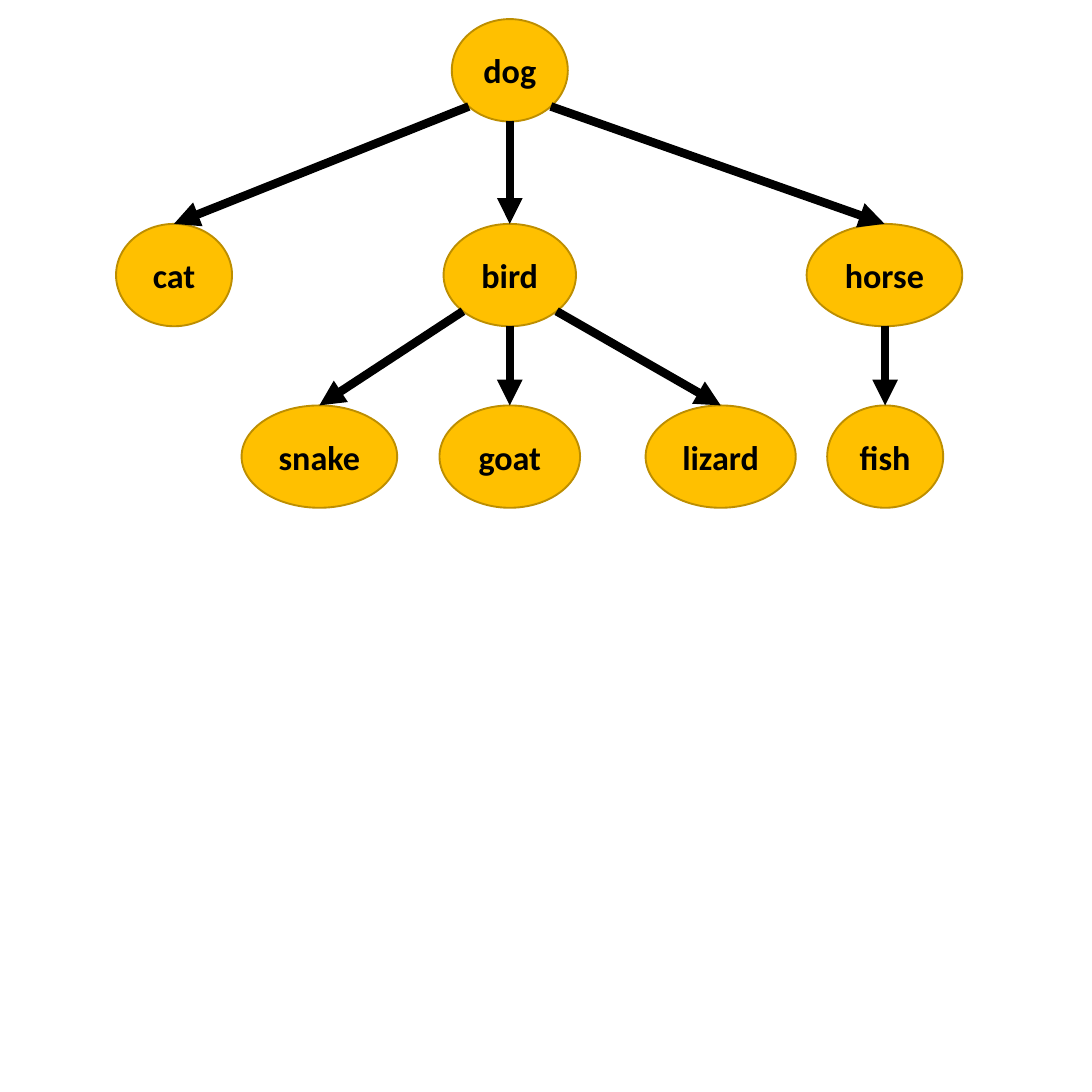
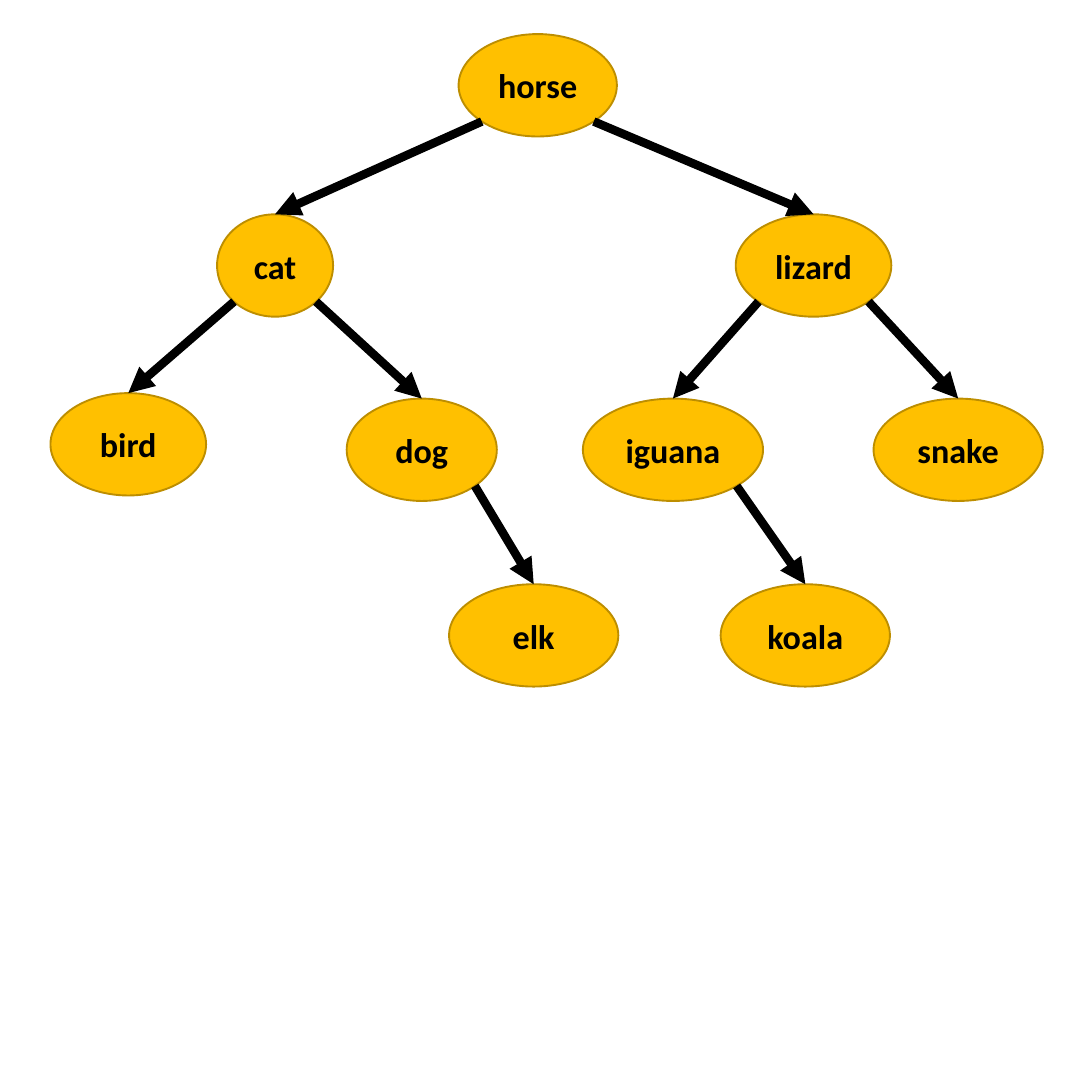
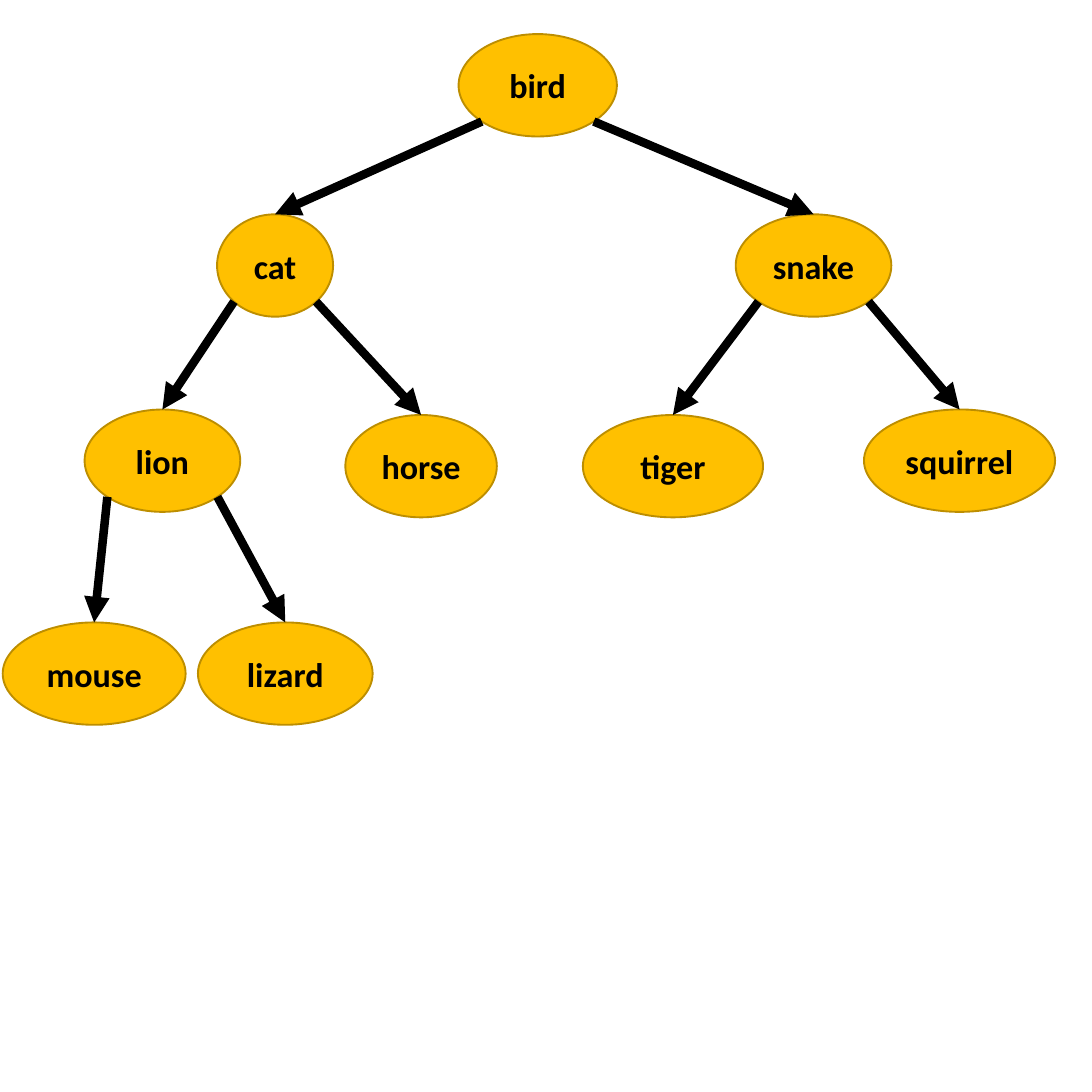
from math import sqrt

from pptx import Presentation
from pptx import util as u
from pptx.dml.color import RGBColor
from pptx.enum import shapes, text
from pptx.oxml.ns import qn
from lxml import etree

# Each tree: (word, parent, left, top, width) in inches
TREES = [
    [
        ("dog", None, 3.31, 0.14, 0.85),
        ("cat", "dog", 0.85, 1.64, 0.85),
        ("bird", "dog", 3.25, 1.64, 0.97),
        ("horse", "dog", 5.91, 1.64, 1.14),
        ("snake", "bird", 1.77, 2.97, 1.14),
        ("goat", "bird", 3.22, 2.97, 1.03),
        ("lizard", "bird", 4.73, 2.97, 1.1),
        ("fish", "horse", 6.06, 2.97, 0.85),
    ],
    [
        ("horse", None, 3.36, 0.25, 1.16),
        ("cat", "horse", 1.59, 1.57, 0.85),
        ("lizard", "horse", 5.39, 1.57, 1.14),
        ("bird", "cat", 0.37, 2.88, 1.14),
        ("dog", "cat", 2.54, 2.92, 1.1),
        ("iguana", "lizard", 4.27, 2.92, 1.32),
        ("snake", "lizard", 6.4, 2.92, 1.24),
        ("elk", "dog", 3.29, 4.28, 1.24),
        ("koala", "iguana", 5.28, 4.28, 1.24),
    ],
    [
        ("bird", None, 3.36, 0.25, 1.16),
        ("cat", "bird", 1.59, 1.57, 0.85),
        ("snake", "bird", 5.39, 1.57, 1.14),
        ("lion", "cat", 0.62, 3, 1.14),
        ("horse", "cat", 2.53, 3.04, 1.11),
        ("tiger", "snake", 4.27, 3.04, 1.32),
        ("squirrel", "snake", 6.33, 3, 1.4),
        ("mouse", "lion", 0.02, 4.56, 1.34),
        ("lizard", "lion", 1.45, 4.56, 1.28),
    ],
]


def rgb(color):
    return RGBColor.from_string(color)


class TreeDeck:
    FONT, SIZE = "Calibri", 18
    FILL, OUTLINE, INK = "FFC000", "BD8E00", "000000"
    NODE_HEIGHT = 0.75

    def __init__(self):
        self.prs = Presentation()
        self.prs.slide_width = self.prs.slide_height = u.Inches(8)
        self.s = None

    def node(self, word, left, top, width):
        sp = self.s.shapes.add_shape(
            shapes.MSO_SHAPE.OVAL, u.Inches(left), u.Inches(top),
            u.Inches(width), u.Inches(self.NODE_HEIGHT))
        sp.shadow.inherit = False
        sp.fill.solid()
        sp.fill.fore_color.rgb = rgb(self.FILL)
        sp.line.color.rgb = rgb(self.OUTLINE)
        sp.line.width = u.Pt(1)

        tf = sp.text_frame
        tf.text = word
        tf.word_wrap = False
        tf.vertical_anchor = text.MSO_ANCHOR.MIDDLE
        p = tf.paragraphs[0]
        p.alignment = text.PP_ALIGN.CENTER
        font = p.runs[0].font
        font.name, font.size, font.bold = self.FONT, u.Pt(self.SIZE), True
        font.color.rgb = rgb(self.INK)
        return sp

    def edge(self, parent, child):
        """Arrow from the parent's lower rim to the top of the child."""
        rx, ry = parent.width / 2, parent.height / 2
        x, y = parent.left + rx, parent.top + ry
        offset = child.left + child.width / 2 - x
        if abs(offset) < u.Inches(0.05):
            # Straight down onto the child
            x += offset
            y += ry
        else:
            # Diagonal point of the ellipse, on the child's side
            x += rx / sqrt(2) * (1 if offset > 0 else -1)
            y += ry / sqrt(2)
        line = self.s.shapes.add_connector(
            shapes.MSO_CONNECTOR.STRAIGHT, int(x), int(y), int(x), int(y))
        line.end_connect(child, 0)
        line.line.color.rgb = rgb(self.INK)
        line.line.width = u.Pt(4.5)
        ln = line.line._get_or_add_ln()
        etree.SubElement(ln, qn("a:tailEnd"), type="triangle")
        etree.SubElement(line._element.spPr, qn("a:effectLst"))

    def tree(self, rows):
        self.s = self.prs.slides.add_slide(self.prs.slide_layouts[6])
        # Nodes first, so that the arrows lie on top
        nodes = {word: self.node(word, *box) for word, _, *box in rows}
        for word, parent, *_ in rows:
            if parent:
                self.edge(nodes[parent], nodes[word])


def main():
    deck = TreeDeck()
    for rows in TREES:
        deck.tree(rows)
    deck.prs.save("out.pptx")


if __name__ == "__main__":
    main()
